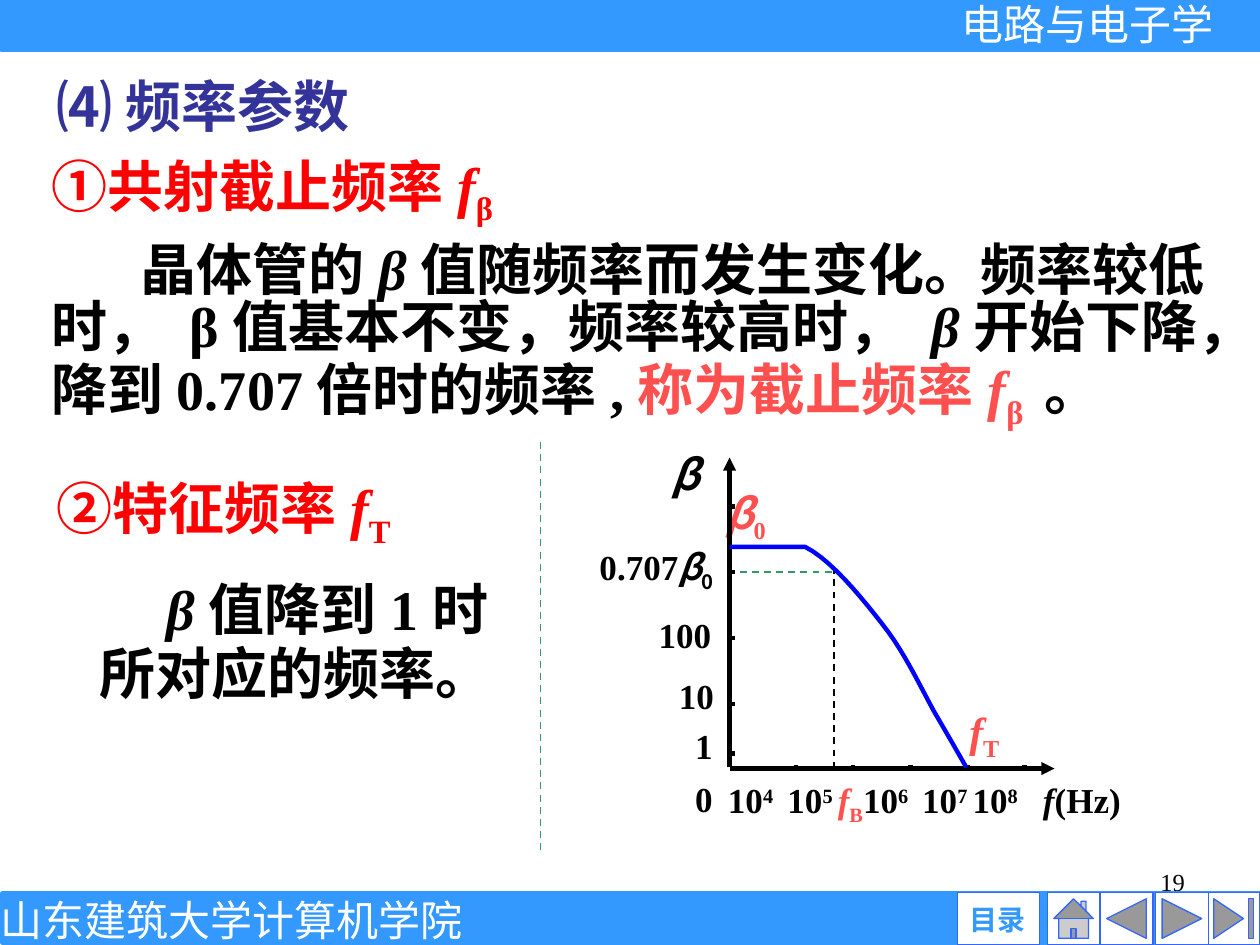
from lxml.etree import SubElement
from pptx import Presentation
from pptx.dml.color import RGBColor
from pptx.enum.dml import MSO_LINE
from pptx.enum.shapes import MSO_CONNECTOR, MSO_SHAPE as SHAPE
from pptx.enum.text import MSO_ANCHOR as ANCHOR, PP_ALIGN as ALIGN
from pptx.oxml.ns import qn
from pptx.util import Pt

SERIF, SYMBOL = "Times New Roman", "Noto Sans CJK SC"
BLACK, WHITE, RED, CORAL = "000000", "FFFFFF", "FF0000", "FF5050"
BAR, BUTTON_EDGE, GREEN = "3399FF", "3366FF", "339966"
SUB, SUPER = -25000, 30000


def rgb(value):
    return RGBColor.from_string(value)


def run(text, color=None, italic=None, base=None, font=None):
    return text, color, italic, base, font


def write(paragraph, runs, size, color=BLACK, font=SERIF, bold=True, align=ALIGN.LEFT):
    paragraph.alignment = align
    paragraph.font.size, paragraph.font.bold = Pt(size), bold
    paragraph.font.name = font
    paragraph.font.color.rgb = rgb(color)
    for text, tint, italic, base, face in runs:
        piece = paragraph.add_run()
        piece.text = text
        if tint:
            piece.font.color.rgb = rgb(tint)
        if italic:
            piece.font.italic = True
        if face:
            piece.font.name = face
        if base:
            piece.font._element.set("baseline", str(base))


def frame(holder, insets, anchor=ANCHOR.TOP):
    text = holder.text_frame
    text.word_wrap, text.vertical_anchor = True, anchor
    text.margin_left, text.margin_top, text.margin_right, text.margin_bottom = map(Pt, insets)
    return text


def text_area(slide, box, insets=(7.2, 3.6, 7.2, 3.6), anchor=ANCHOR.TOP):
    return frame(slide.shapes.add_textbox(*map(Pt, box)), insets, anchor)


def block(slide, kind, box, fill, edge=None, weight=0.75):
    shape = slide.shapes.add_shape(kind, *map(Pt, box))
    shape.shadow.inherit = False
    shape.fill.solid()
    shape.fill.fore_color.rgb = rgb(fill)
    if edge:
        shape.line.color.rgb = rgb(edge)
        shape.line.width = Pt(weight)
    else:
        shape.line.fill.background()
    return shape


def rule(slide, start, end, color=BLACK, weight=2.5, dashed=False, arrow=False):
    line = slide.shapes.add_connector(MSO_CONNECTOR.STRAIGHT, *map(Pt, start + end))
    line.line.color.rgb = rgb(color)
    line.line.width = Pt(weight)
    if dashed:
        line.line.dash_style = MSO_LINE.DASH
    if arrow:
        SubElement(line.line._get_or_add_ln(), qn("a:tailEnd"), type="triangle")
    SubElement(line._element.spPr, qn("a:effectLst"))


def header(slide, left, top, width, height):
    block(slide, SHAPE.RECTANGLE, (left, top, width, height), BAR, BAR, 3)
    course = text_area(slide, (left + width - 170.5, top - 0.7, 175.7, 28.8), (0, 0, 0, 0), ANCHOR.MIDDLE)
    write(course.paragraphs[0], [run("电路与电子学")], 24, WHITE, "Arial", False)


def footer(slide, left, top, width, height):
    number = text_area(slide, (left + 515, top - 18.7, 167.8, 37.4))
    write(number.paragraphs[0], [run("19")], 14, bold=False, align=ALIGN.RIGHT)
    block(slide, SHAPE.RECTANGLE, (left, top, width, height), BAR, BAR, 3)
    buttons = [(SHAPE.ACTION_BUTTON_END, 688.4), (SHAPE.ACTION_BUTTON_FORWARD_OR_NEXT, 658.9),
               (SHAPE.ACTION_BUTTON_BACK_OR_PREVIOUS, 627.2), (SHAPE.ACTION_BUTTON_HOME, 597)]
    for kind, x in buttons:
        block(slide, kind, (left + x, top - 0.7, 30.2, 30.2), WHITE, BUTTON_EDGE)
    contents = (left + 545.8, top - 0.7, 46.8, 30.2)
    block(slide, SHAPE.ACTION_BUTTON_CUSTOM, contents, WHITE, BUTTON_EDGE)
    label = text_area(slide, (left + 545.8, top + 5, 45.4, 19.4), (0, 0, 0, 0), ANCHOR.MIDDLE)
    write(label.paragraphs[0], [run("目录")], 16, BAR, "Arial", align=ALIGN.CENTER)
    school = text_area(slide, (left - 1.4, top + 0.7, 264.2, 28.8), (0, 0, 0, 0), ANCHOR.MIDDLE)
    school.word_wrap = False
    write(school.paragraphs[0], [run("山东建筑大学计算机学院")], 24, WHITE, bold=False, align=ALIGN.CENTER)


def cutoff_section(slide, left, top, width, height):
    heading = text_area(slide, (left + 2.9, top, 239.8, 45.4))
    write(heading.paragraphs[0], [run("⑷ 频率参数")], 32, "333399")
    body = text_area(slide, (left, top + 47.6, width, height - 47.6))
    title, definition = body.paragraphs[0], body.add_paragraph()
    write(title, [run("①共射截止频率"), run("f", italic=True), run("β", base=SUB)], 32, RED)
    write(definition, [
        run("晶体管的"), run("β", italic=True),
        run("值随频率而发生变化。频率较低时， β值基本不变，频率较高时， "),
        run("β", italic=True), run("开始下降，降到0.707倍时的频率,"),
        run("称为截止频率", CORAL), run("f", CORAL, True), run("β ", CORAL, base=SUB), run("。")], 32)
    title.line_spacing = definition.line_spacing = 0.85
    definition.space_before = Pt(14)
    definition._p.get_or_add_pPr().set("indent", str(Pt(51)))


def transition_section(slide, left, top, width, height):
    body = text_area(slide, (left, top, width, height))
    title, definition = body.paragraphs[0], body.add_paragraph()
    write(title, [run("②特征频率"), run("f", italic=True), run("T", base=SUB)], 32, RED)
    write(definition, [run("β", italic=True), run("值降到1时")], 32)
    definition.space_before = Pt(14)
    definition._p.get_or_add_pPr().set("indent", str(Pt(63)))
    ending = text_area(slide, (left + 24.5, top + 94.3, 247, 45.4))
    write(ending.paragraphs[0], [run("所对应的频率。")], 32)


def bezier(a, b, c, d, steps=10):
    for t in (i / steps for i in range(1, steps + 1)):
        u = 1 - t
        yield tuple(u**3 * p + 3 * u * u * t * q + 3 * u * t * t * r + t**3 * s
                    for p, q, r, s in zip(a, b, c, d))


def frequency_axis_labels(paragraph):
    runs = []
    for lead, power in (("10", "4"), ("\t10", "5 "), ("10", "6"), ("\t10", "7 "), ("10", "8")):
        runs += [run(lead), run(power, base=SUPER)]
    runs[4:4] = [run("f", CORAL, True), run("B", CORAL, base=SUB)]
    write(paragraph, runs + [run("\tf", italic=True), run("(Hz)")], 20, align=ALIGN.JUSTIFY)
    stops = SubElement(paragraph._p.get_or_add_pPr(), qn("a:tabLst"))
    stops.getparent().insert(0, stops)
    for position in (34, 111, 180):
        SubElement(stops, qn("a:tab"), pos=str(Pt(position)), algn="l")


def response_graph(slide, left, top):
    def at(x, y):
        return left + x, top + y

    def label(x, y, width, height, insets):
        return frame(block(slide, SHAPE.RECTANGLE, at(x, y) + (width, height), WHITE), insets).paragraphs[0]

    tight, roomy = (7.2, 0.7, 0, 0.7), (7.2, 3.6, 0, 3.6)
    for text, x, y in (("0", 54.7, 190.8), ("1", 54.7, 160.6), ("100", 33.8, 97.2), ("10", 45.4, 131.8)):
        write(label(x, y, 50.4, 29.5, tight), [run(text)], 20, align=ALIGN.JUSTIFY)
    write(label(0, 58.3, 95.8, 36, tight),
          [run("0.707"), run("β", italic=True, font=SYMBOL), run("0", base=SUB, font=SYMBOL)],
          20, align=ALIGN.JUSTIFY)
    write(label(199.4, 146.9, 48.2, 38.9, roomy),
          [run("f", italic=True), run("T", base=SUB)], 24, CORAL, align=ALIGN.CENTER)
    write(label(72, 22.3, 54.7, 36.7, (7.2, 3.6, 7.2, 3.6)),
          [run("β", italic=True, font=SYMBOL), run("0", base=SUB)], 24, CORAL, align=ALIGN.JUSTIFY)
    frequency_axis_labels(label(73.4, 192.3, 258.5, 33.1, (7.2, 0, 7.2, 3.6)))
    write(label(41, 0, 24.5, 41.8, roomy), [run("β", italic=True)], 24, font=SYMBOL, align=ALIGN.JUSTIFY)

    axis_x, axis_y = 81.4, 186.5
    rule(slide, at(axis_x, axis_y - 0.7), at(axis_x, 8.7), arrow=True)
    rule(slide, at(axis_x, axis_y), at(267.1, axis_y), arrow=True)
    for y in [36.7 + 37.6 * i for i in range(4)] + [177.9]:
        rule(slide, at(axis_x + 2.9, y), at(axis_x, y))
    for x in (119.5 + 32.6 * i for i in range(5)):
        rule(slide, at(x, axis_y - 2.2), at(x, axis_y + 1.4))
    rule(slide, at(141.1, axis_y), at(141.1, 72.7), weight=1, dashed=True)

    points = [(124.6, 59.8)]
    for b, c, d in (((139, 67), (156.2, 87.9), (168.5, 103.7)),
                    ((180.7, 118.8), (190.1, 139), (198, 153.4)),
                    ((205.9, 167), (213.8, 180.7), (216.7, 185.8))):
        points += bezier(points[-1], b, c, d)
    outline = slide.shapes.build_freeform(*map(Pt, at(axis_x, 59.8)))
    outline.add_line_segments([tuple(map(Pt, at(*point))) for point in points], close=False)
    curve = outline.convert_to_shape()
    curve.shadow.inherit = False
    curve.fill.background()
    curve.line.color.rgb = rgb("0000FF")
    curve.line.width = Pt(2.5)
    rule(slide, at(139.7, 74.2), at(84.2, 74.2), GREEN, 1, dashed=True)


def main():
    deck = Presentation()
    deck.slide_width, deck.slide_height = Pt(720), Pt(540)
    slide = deck.slides.add_slide(deck.slide_layouts[6])
    footer(slide, 1.4, 510.5, 719.3, 28.1)
    header(slide, 0.7, 0, 719.3, 28.1)
    cutoff_section(slide, 22.3, 37.4, 700.6, 204.5)
    response_graph(slide, 335.5, 252.7)
    transition_section(slide, 25.2, 267.1, 295.2, 103)
    rule(slide, (308.9, 252.7), (308.9, 486.7), GREEN, 1, dashed=True)
    deck.save("out.pptx")


if __name__ == "__main__":
    main()
